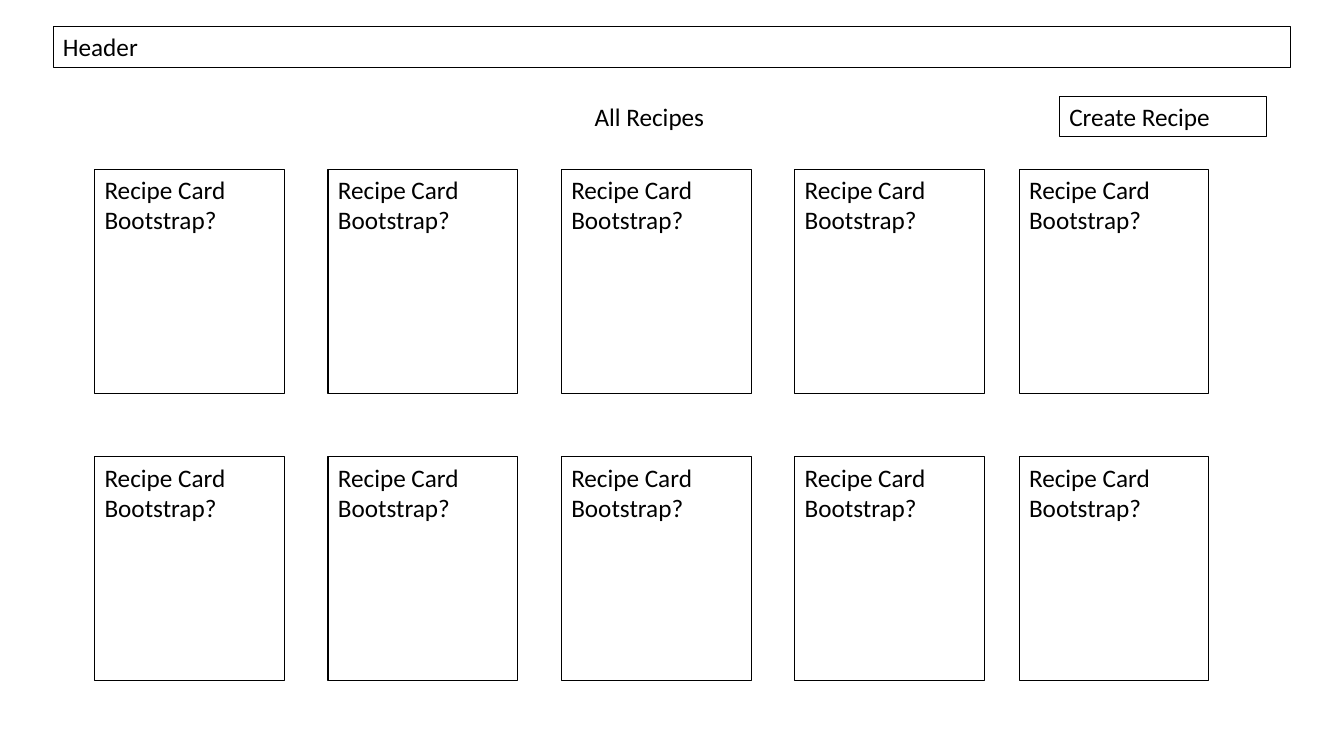
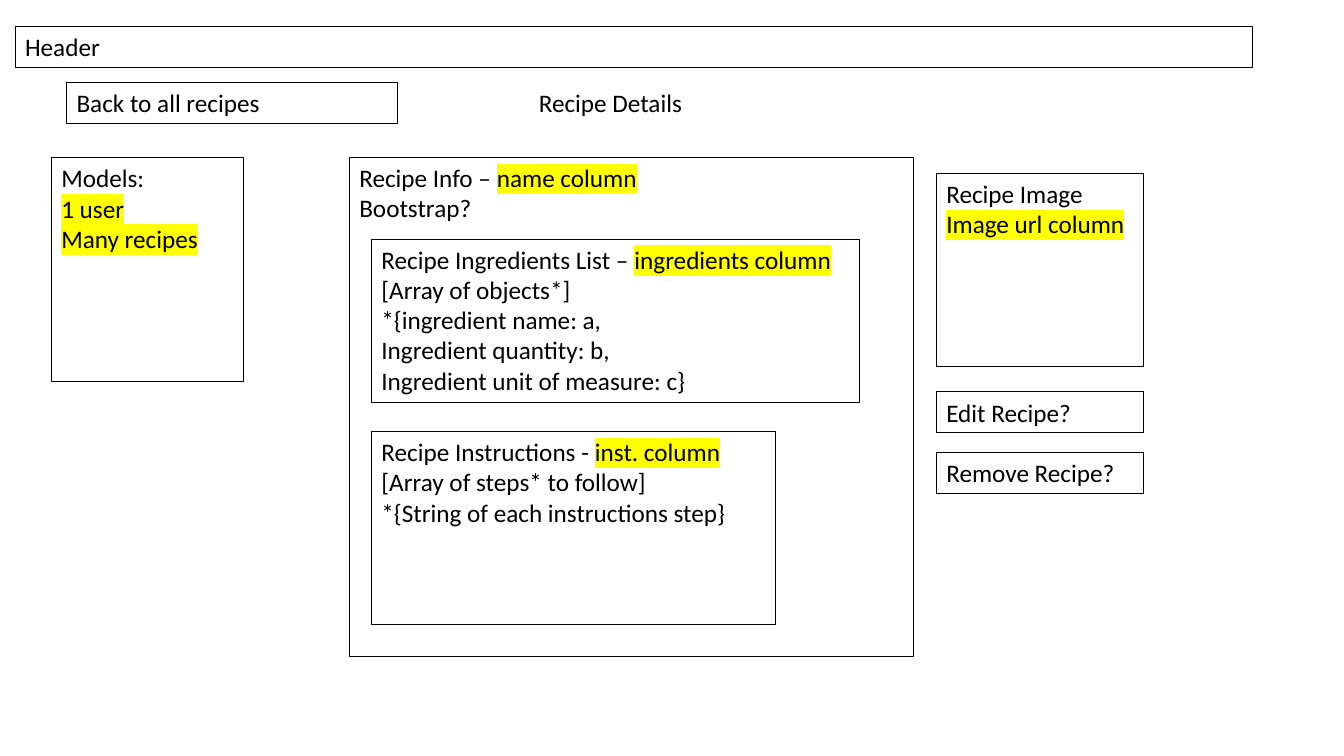
from dataclasses import dataclass

from lxml.etree import SubElement
from pptx import Presentation
from pptx.dml.color import RGBColor
from pptx.enum.shapes import MSO_SHAPE as Preset
from pptx.enum.text import MSO_ANCHOR as Anchor, MSO_AUTO_SIZE as AutoSize, PP_ALIGN as Align
from pptx.oxml.ns import qn
from pptx.util import Pt


@dataclass(frozen=True)
class Theme:
    ink: RGBColor = RGBColor(0, 0, 0)
    marker: str = "FFFF00"
    font: str = "Calibri"
    text_size: float = 18
    line_width: float = 0.75
    bar_height: float = 29.1
    header_width: float = 884.2
    title_width: float = 258.5
    button_width: float = 147.8


theme = Theme()


def write(shape, lines):
    frame = shape.text_frame
    frame.text = "\n".join(plain for plain, marked in lines)
    frame.word_wrap = True
    frame.auto_size = AutoSize.NONE
    frame.vertical_anchor = Anchor.TOP
    for paragraph, (plain, marked) in zip(frame.paragraphs, lines):
        paragraph.alignment = Align.LEFT
        if marked:
            paragraph.add_run().text = marked
        for run in paragraph.runs:
            run.font.name = theme.font
            run.font.size = Pt(theme.text_size)
            run.font.color.rgb = theme.ink
        if marked:
            properties = paragraph.runs[-1].font._element
            highlight = SubElement(properties, qn("a:highlight"))
            SubElement(highlight, qn("a:srgbClr"), val=theme.marker)
            properties.find(qn("a:solidFill")).addnext(highlight)


def add_box(slide, left, top, width, height, lines):
    box = slide.shapes.add_shape(Preset.RECTANGLE, Pt(left), Pt(top), Pt(width), Pt(height))
    box.shadow.inherit = False
    box.fill.background()
    box.line.color.rgb = theme.ink
    box.line.width = Pt(theme.line_width)
    write(box, lines)


prs = Presentation()
prs.slide_width, prs.slide_height = Pt(960), Pt(540)

pages = []
for title, title_left, title_top, header_left in [
    ("All Recipes", 417.5, 68.6, 37.9),
    ("Recipe Details", 377.7, 59, 10.8),
]:
    slide = prs.slides.add_slide(prs.slide_layouts[5])
    heading = slide.shapes.title
    heading.left, heading.top = Pt(title_left), Pt(title_top)
    heading.width, heading.height = Pt(theme.title_width), Pt(theme.bar_height)
    write(heading, [(title, "")])
    add_box(slide, header_left, 18.8, theme.header_width, theme.bar_height, [("Header", "")])
    pages.append(slide)

all_recipes, recipe_details = pages

card_lefts = [67.6 + 166.7 * column for column in range(4)] + [728]
for card_top in (121, 326.4):
    for card_left in card_lefts:
        add_box(all_recipes, card_left, card_top, 135.6, 159.8,
                [("Recipe Card", ""), ("Bootstrap?", "")])

add_box(all_recipes, 756.7, 68.6, theme.button_width, theme.bar_height, [("Create Recipe", "")])

add_box(recipe_details, 47.6, 59, 236.4, theme.bar_height, [("Back to all recipes", "")])
add_box(recipe_details, 36.7, 112.6, 137.2, 159.8,
        [("Models:", ""), ("", "1 user"), ("", "Many recipes")])

add_box(recipe_details, 249.6, 112.4, 403.2, 356.4,
        [("Recipe Info – ", "name column"), ("Bootstrap?", "")])
add_box(recipe_details, 265.4, 170.8, 348.5, 116.6, [
    ("Recipe Ingredients List – ", "ingredients column"),
    ("[Array of objects*]", ""),
    ("*{ingredient name: a,", ""),
    ("Ingredient quantity: b,", ""),
    ("Ingredient unit of measure: c}", ""),
])
add_box(recipe_details, 265.4, 308.2, 288.4, 138, [
    ("Recipe Instructions - ", "inst. column"),
    ("[Array of steps* to follow]", ""),
    ("*{String of each instructions step}", ""),
])

add_box(recipe_details, 668.9, 123.8, theme.button_width, 138,
        [("Recipe Image", ""), ("", "Image url column")])
for action, action_top in [("Edit Recipe?", 279.9), ("Remove Recipe?", 323.1)]:
    add_box(recipe_details, 668.9, action_top, theme.button_width, theme.bar_height, [(action, "")])

prs.save("out.pptx")
